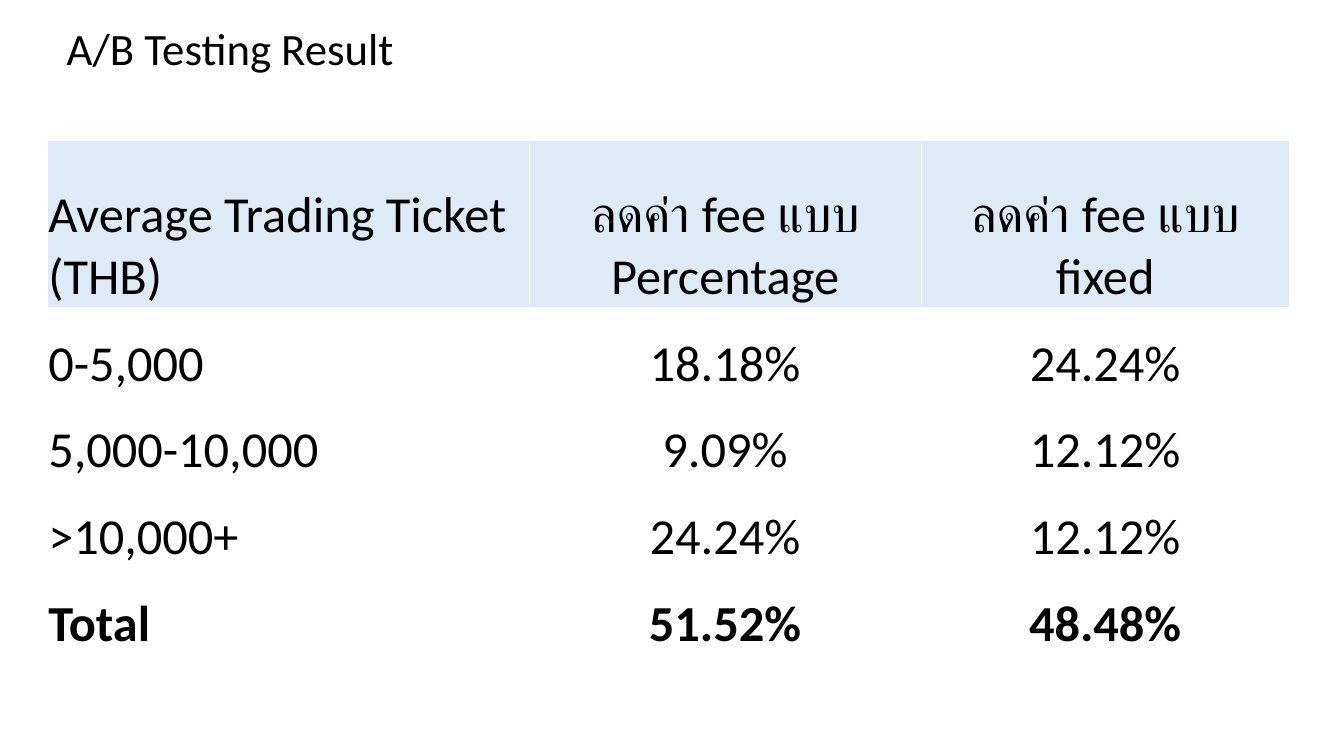
from dataclasses import dataclass

from lxml import etree
from pptx import Presentation
from pptx.dml.color import RGBColor
from pptx.enum import text as t
from pptx.oxml import ns
from pptx.util import Pt

BLACK = RGBColor(0, 0, 0)
WHITE = RGBColor(0xFF, 0xFF, 0xFF)
PALE = RGBColor(0xDE, 0xEB, 0xF7)
FONT = "Calibri"
LEFT, TOP = 34, 100
COLS = (344, 280, 263)
HEAD, BODY = 120, 62


@dataclass
class Row:
    cells: tuple[str, str, str]
    high: float = BODY
    fill: RGBColor | None = None
    bold: bool = False


ROWS = [
    Row(("Average Trading Ticket (THB)", "ลดค่า fee แบบ Percentage",
         "ลดค่า fee แบบ fixed"), high=HEAD, fill=PALE),
    Row(("0-5,000", "18.18%", "24.24%")),
    Row(("5,000-10,000", "9.09%", "12.12%")),
    Row((">10,000+", "24.24%", "12.12%")),
    Row(("Total", "51.52%", "48.48%"), bold=True),
]


def write(frame, words: str, *, size: float, bold: bool = False,
          align=t.PP_ALIGN.LEFT) -> None:
    frame.word_wrap = True
    para = frame.paragraphs[0]
    para.alignment = align
    run = para.add_run()
    run.text = words
    font = run.font
    font.name, font.size, font.bold = FONT, Pt(size), bold
    font.color.rgb = BLACK


def edge(cell, color: RGBColor, width: float) -> None:
    """Draw all four borders; call before the cell gets its fill."""
    props = cell._tc.get_or_add_tcPr()
    for side in ("lnL", "lnR", "lnT", "lnB"):
        line = etree.SubElement(props, ns.qn(f"a:{side}"), w=str(Pt(width)))
        fill = etree.SubElement(line, ns.qn("a:solidFill"))
        etree.SubElement(fill, ns.qn("a:srgbClr"), val=str(color))


def draw_cell(cell, words: str, row: Row, first: bool) -> None:
    edge(cell, WHITE, 1)
    if row.fill is None:
        cell.fill.background()
    else:
        cell.fill.solid()
        cell.fill.fore_color.rgb = row.fill
    cell.margin_left = cell.margin_right = cell.margin_top = Pt(0.5)
    cell.margin_bottom = 0
    cell.vertical_anchor = t.MSO_ANCHOR.BOTTOM
    align = t.PP_ALIGN.LEFT if first else t.PP_ALIGN.CENTER
    write(cell.text_frame, words, size=36, bold=row.bold, align=align)


def draw_table(slide, rows: list[Row]) -> None:
    high = sum(row.high for row in rows)
    table = slide.shapes.add_table(len(rows), len(COLS), Pt(LEFT), Pt(TOP),
                                   Pt(sum(COLS)), Pt(high)).table
    table.first_row = table.horz_banding = False
    for col, width in zip(table.columns, COLS):
        col.width = Pt(width)
    for r, row in enumerate(rows):
        table.rows[r].height = Pt(row.high)
        for c, words in enumerate(row.cells):
            draw_cell(table.cell(r, c), words, row, first=c == 0)


def main() -> None:
    deck = Presentation()
    deck.slide_width, deck.slide_height = Pt(960), Pt(540)
    slide = deck.slides.add_slide(deck.slide_layouts[6])
    draw_table(slide, ROWS)
    title = slide.shapes.add_textbox(Pt(40.5), Pt(11), Pt(888), Pt(46))
    title.text_frame.auto_size = t.MSO_AUTO_SIZE.SHAPE_TO_FIT_TEXT
    write(title.text_frame, "A/B Testing Result", size=32)
    deck.save("out.pptx")


if __name__ == "__main__":
    main()
